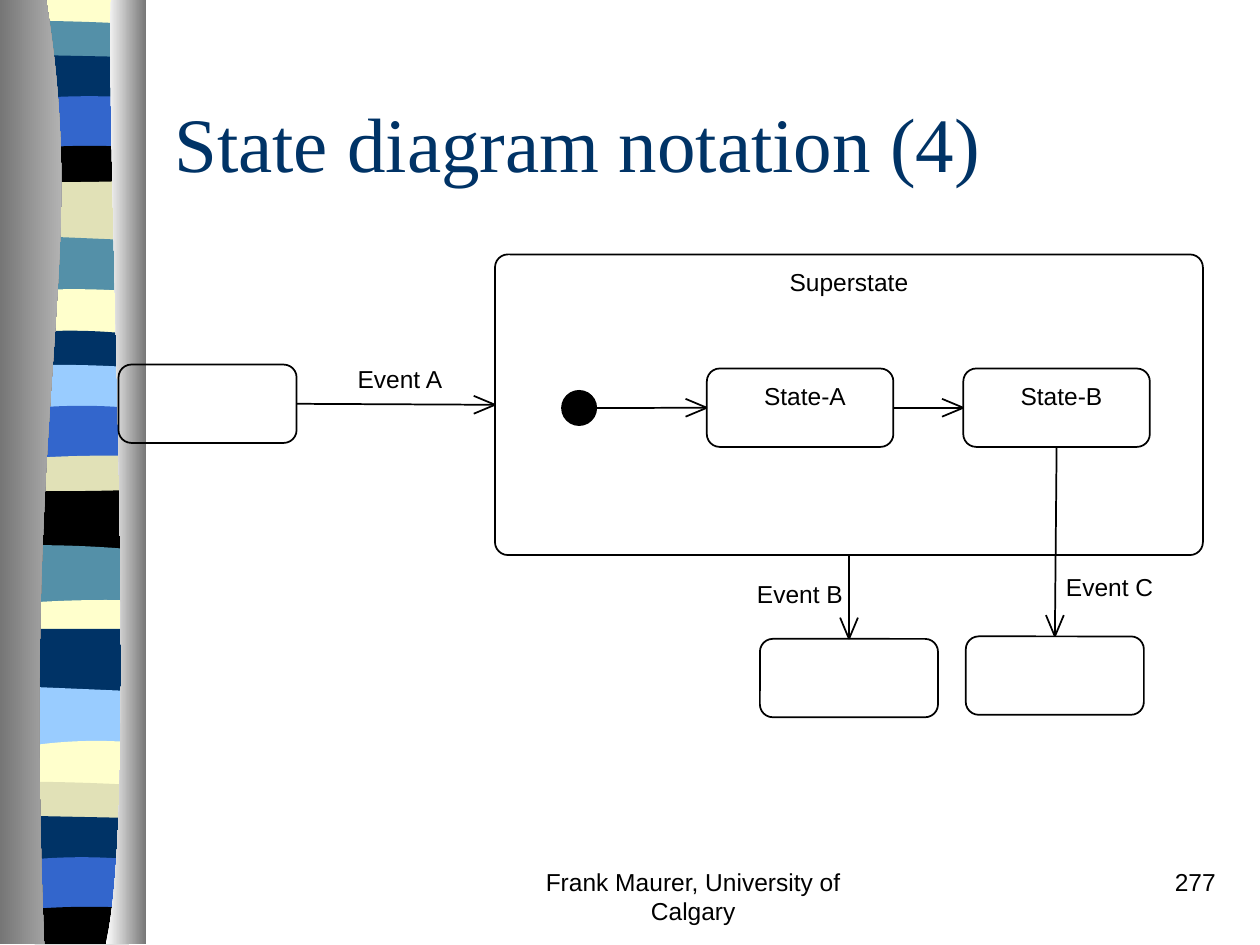
from lxml.etree import SubElement
from pptx import Presentation
from pptx.dml.color import RGBColor
from pptx.enum.shapes import MSO_CONNECTOR, MSO_SHAPE
from pptx.enum.text import MSO_ANCHOR, PP_ALIGN
from pptx.oxml.ns import qn
from pptx.util import Cm, Pt

COLORS = {
    "cream": "FFFFCC", "teal": "5490A8", "navy": "003366", "blue": "3366CC",
    "black": "000000", "beige": "E1E1B7", "sky": "99CCFF",
    "gray": "767676", "silver": "D0D0D0", "white": "FFFFFF",
}
W, H = 25.4, 19.05
RIBBON_X = (0.7, 2.6)
BANDS = [
    ("cream", (0, 0, 0)),
    ("teal", (0.42, 0.44, 0.48)),
    ("navy", (1.11, 1.13, 1.15)),
    ("blue", (1.98, 1.94, 1.96)),
    ("black", (2.98, 2.94, 2.96)),
    ("beige", (3.67, 3.67, 3.65)),
    ("teal", (4.76, 4.8, 4.84)),
    ("cream", (5.85, 5.83, 5.87)),
    ("navy", (6.69, 6.67, 6.73)),
    ("sky", (7.36, 7.36, 7.4)),
    ("blue", (8.22, 8.18, 8.22)),
    ("beige", (9.23, 9.19, 9.19)),
    ("black", (9.9, 9.9, 9.88)),
    ("teal", (10.99, 11.01, 11.07)),
    ("cream", (12.14, 12.1, 12.1)),
    ("navy", (12.68, 12.68, 12.68)),
    ("sky", (13.85, 13.89, 13.93)),
    ("cream", (15.02, 14.94, 14.96)),
    ("beige", (15.76, 15.78, 15.82)),
    ("navy", (16.45, 16.47, 16.49)),
    ("blue", (17.32, 17.28, 17.32)),
    ("black", (18.32, 18.28, 18.3)),
]
RIBBON_END = (19.03, 19.03, 19.03)
COLUMNS = [
    (0, [(0.93, 0), (1.82, 5.49), (0.43, 7.52), (0.89, 19.03)], ("gray", "silver")),
    (2.95, [(2.24, 0), (2.13, 3.17), (2.82, 16.41), (2.13, 19.03)], ("white", "gray")),
]
TITLE = "State diagram notation (4)"
RADIUS = 0.26
STATES = {
    "super": ("Superstate", 9.98, 5.13, 14.27, 6.06, 0),
    "a": ("State-A", 14.25, 7.43, 3.76, 1.58, 0.2),
    "b": ("State-B", 19.42, 7.43, 3.76, 1.58, 0.2),
    "source": ("", 2.39, 7.35, 3.59, 1.58, 0),
    "target_b": ("", 15.32, 12.88, 3.59, 1.58, 0),
    "target_c": ("", 19.47, 12.83, 3.59, 1.58, 0),
}
START = (11.33, 7.88, 0.69)
TRANSITIONS = [
    ("source", 3, "super", 1),
    ("a", 3, "b", 1),
    ("super", 2, "target_b", 0),
    ("b", 2, "target_c", 0),
]
HEAD_LENGTH, HEAD_HALF = Cm(0.43), Cm(0.18)
EVENTS = [("Event A", 7.21, 7.34), ("Event B", 15.26, 11.68), ("Event C", 21.49, 11.53)]
FOOTERS = [
    ("Frank Maurer, University of Calgary", 9.95, 8.05, PP_ALIGN.CENTER),
    ("277", 19.48, 5.28, PP_ALIGN.RIGHT),
]


def rgb(name):
    return RGBColor.from_string(COLORS[name])


def write(tf, text, size=14, font="Arial", color="black", align=PP_ALIGN.LEFT):
    p = tf.paragraphs[0]
    p.alignment = align
    r = p.add_run()
    r.text = text
    r.font.size, r.font.name = Pt(size), font
    r.font.color.rgb = rgb(color)


def set_insets(tf, left=0, top=0, right=0, bottom=0):
    tf.margin_left, tf.margin_top = Cm(left), Cm(top)
    tf.margin_right, tf.margin_bottom = Cm(right), Cm(bottom)


def add_curved(s, curve, corners):
    pts = [(Cm(x), Cm(y)) for x, y in curve + corners]
    fb = s.shapes.build_freeform(*pts[0])
    fb.add_line_segments(pts[1:])
    sp = fb.convert_to_shape()
    first, *rest = sp._element.findall(".//" + qn("a:lnTo"))[:3]
    first.tag = qn("a:cubicBezTo")
    for segment in rest:
        first.append(segment[0])
        segment.getparent().remove(segment)
    sp.shadow.inherit = False
    sp.line.fill.background()
    return sp


def wave(heights):
    left, mid, right = heights
    bend = 2 * mid - (left + right) / 2
    x0, x1 = RIBBON_X
    third = (x1 - x0) / 3
    return [(x0, left), (x0 + third, (left + 2 * bend) / 3),
            (x1 - third, (right + 2 * bend) / 3), (x1, right)]


def add_ribbon(s):
    x0, x1 = RIBBON_X
    bottoms = [max(top) for _, top in BANDS[1:]] + [max(RIBBON_END)]
    for (color, top), bottom in zip(BANDS, bottoms):
        sp = add_curved(s, wave(top), [(x1, bottom), (x0, bottom)])
        sp.fill.solid()
        sp.fill.fore_color.rgb = rgb(color)
    for edge, curve, shades in COLUMNS:
        sp = add_curved(s, curve, [(edge, curve[-1][1]), (edge, 0)])
        sp.fill.gradient()
        sp.fill.gradient_angle = 0
        for stop, shade in zip(sp.fill.gradient_stops, shades):
            stop.color.rgb = rgb(shade)


def add_node(s, kind, x, y, w, h):
    sp = s.shapes.add_shape(kind, Cm(x), Cm(y), Cm(w), Cm(h))
    sp.shadow.inherit = False
    sp.line.color.rgb = rgb("black")
    sp.line.width = Pt(1)
    return sp


def add_state(s, text, x, y, w, h, indent):
    sp = add_node(s, MSO_SHAPE.ROUNDED_RECTANGLE, x, y, w, h)
    sp.adjustments[0] = RADIUS / h
    sp.fill.background()
    if text:
        tf = sp.text_frame
        set_insets(tf, left=indent, top=0.17)
        tf.vertical_anchor = MSO_ANCHOR.TOP
        write(tf, text, align=PP_ALIGN.CENTER)
    return sp


def add_line(s, x0=0, y0=0, x1=0, y1=0):
    cx = s.shapes.add_connector(MSO_CONNECTOR.STRAIGHT, x0, y0, x1, y1)
    cx.line.color.rgb = rgb("black")
    cx.line.width = Pt(1)
    SubElement(cx._element.spPr, qn("a:effectLst"))
    return cx


def add_head(s, cx, side):
    x, y = cx.end_x, cx.end_y
    for half in (HEAD_HALF, -HEAD_HALF):
        dx, dy = (HEAD_LENGTH, half) if side == 1 else (half, HEAD_LENGTH)
        add_line(s, x, y, x - dx, y - dy)


def add_text(s, x, y, w, h):
    return s.shapes.add_textbox(Cm(x), Cm(y), Cm(w), Cm(h)).text_frame


def main():
    prs = Presentation()
    prs.slide_width, prs.slide_height = Cm(W), Cm(H)
    s = prs.slides.add_slide(prs.slide_layouts[5])
    add_ribbon(s)

    title = s.shapes.title
    title.left, title.top, title.width, title.height = Cm(3.26), Cm(1.27), Cm(21.59), Cm(3.18)
    title.text_frame.vertical_anchor = MSO_ANCHOR.MIDDLE
    write(title.text_frame, TITLE, 44, "Times New Roman", "navy")

    states = {key: add_state(s, *state) for key, state in STATES.items()}
    x, y, d = START
    dot = add_node(s, MSO_SHAPE.OVAL, x, y, d, d)
    dot.fill.solid()
    dot.fill.fore_color.rgb = rgb("black")
    entry = add_line(s, Cm(x + d), Cm(y + d / 2), Cm(x + d), Cm(y + d / 2))
    entry.end_connect(states["a"], 1)
    add_head(s, entry, 1)
    for begin, begin_side, end, end_side in TRANSITIONS:
        cx = add_line(s)
        cx.begin_connect(states[begin], begin_side)
        cx.end_connect(states[end], end_side)
        add_head(s, cx, end_side)

    for text, x, y in EVENTS:
        tf = add_text(s, x, y, 1.85, 0.58)
        set_insets(tf)
        tf.word_wrap = False
        write(tf, text)
    for text, x, w, align in FOOTERS:
        tf = add_text(s, x, 17.35, w, 1.27)
        tf.word_wrap = True
        write(tf, text, align=align)

    prs.save("out.pptx")


if __name__ == "__main__":
    main()
